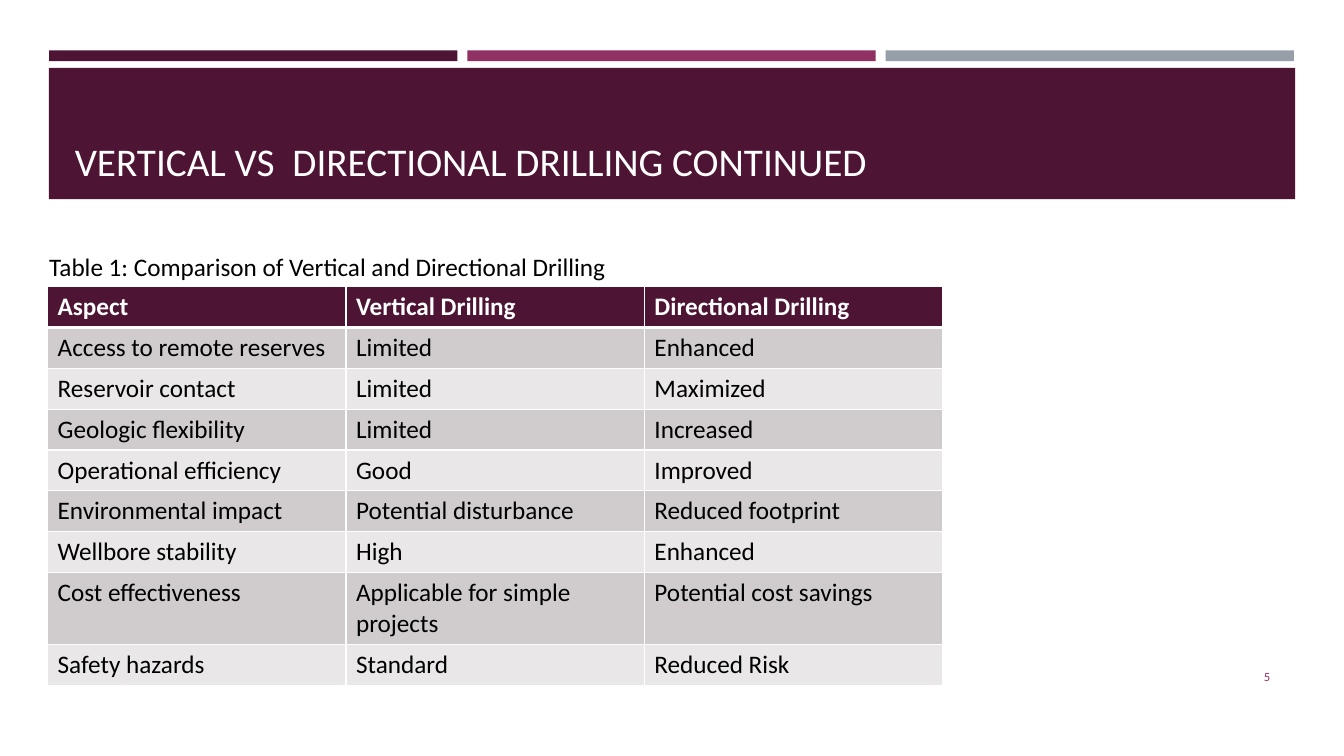
from lxml import etree
from pptx import Presentation
from pptx.dml.color import RGBColor
from pptx.enum.shapes import MSO_SHAPE
from pptx.enum.text import MSO_ANCHOR, MSO_AUTO_SIZE, PP_ALIGN
from pptx.oxml.ns import qn
from pptx.util import Cm, Pt

RECT = MSO_SHAPE.RECTANGLE
BOTTOM, MIDDLE = MSO_ANCHOR.BOTTOM, MSO_ANCHOR.MIDDLE
LEFT, RIGHT = PP_ALIGN.LEFT, PP_ALIGN.RIGHT
NO_FIT = MSO_AUTO_SIZE.NONE

THEME = {
    "font": "Calibri",
    "plum": "4D1434", "magenta": "903163", "gray": "969FA7",
    "white": "FFFFFF", "black": "000000",
    "bands": ("D0CCCE", "E9E7E8"),
    "title": 28, "body": 18, "number": 9,
}


def write(tf, text, size, color, bold=False, align=LEFT):
    p = tf.paragraphs[0]
    p.alignment = align
    r = p.add_run()
    r.text = text
    r.font.name = THEME["font"]
    r.font.size = Pt(THEME[size])
    r.font.bold = bold
    r.font.color.rgb = RGBColor.from_string(THEME[color])


def add_border(cell, side, width):
    ln = etree.SubElement(cell._tc.get_or_add_tcPr(), qn(f"a:{side}"), w=str(Pt(width)))
    fill = etree.SubElement(ln, qn("a:solidFill"))
    etree.SubElement(fill, qn("a:srgbClr"), val=THEME["white"])


prs = Presentation()
prs.slide_width, prs.slide_height = Cm(33.87), Cm(19.05)
s = prs.slides.add_slide(prs.slide_layouts[5])

blocks = [(1.24 + 10.54 * i, 1.27, 10.29, 0.27, color)
          for i, color in enumerate(("plum", "magenta", "gray"))]
blocks.append((1.23, 1.71, 31.41, 3.31, "plum"))
for left, top, width, height, color in blocks:
    sp = s.shapes.add_shape(RECT, Cm(left), Cm(top), Cm(width), Cm(height))
    sp.shadow.inherit = False
    sp.fill.solid()
    sp.fill.fore_color.rgb = RGBColor.from_string(THEME[color])
    sp.line.fill.background()

title = s.shapes.title
title.left, title.top, title.width, title.height = Cm(1.63), Cm(1.96), Cm(30.63), Cm(2.82)
s.shapes._spTree.append(title._element)
tf = title.text_frame
tf.auto_size = NO_FIT
tf.word_wrap = True
tf.vertical_anchor = BOTTOM
write(tf, "VERTICAL VS  DIRECTIONAL DRILLING CONTINUED", "title", "white")

rows = [
    ("Aspect", "Vertical Drilling", "Directional Drilling"),
    ("Access to remote reserves", "Limited", "Enhanced"),
    ("Reservoir contact", "Limited", "Maximized"),
    ("Geologic flexibility", "Limited", "Increased"),
    ("Operational efficiency", "Good", "Improved"),
    ("Environmental impact", "Potential disturbance", "Reduced footprint"),
    ("Wellbore stability", "High", "Enhanced"),
    ("Cost effectiveness", "Applicable for simple projects", "Potential cost savings"),
    ("Safety hazards", "Standard", "Reduced Risk"),
]
table = s.shapes.add_table(len(rows), 3, Cm(1.2), Cm(7.22), Cm(22.56), Cm(9.27)).table
for i, row in enumerate(rows):
    table.rows[i].height = Cm(1.03)
    header = i == 0
    fill = THEME["plum"] if header else THEME["bands"][(i - 1) % 2]
    for j, text in enumerate(row):
        cell = table.cell(i, j)
        write(cell.text_frame, text, "body", "white" if header else "black", header)
        add_border(cell, "lnL", 1)
        add_border(cell, "lnR", 1)
        add_border(cell, "lnT", 3 if i == 1 else 1)
        add_border(cell, "lnB", 3 if header else 1)
        cell.fill.solid()
        cell.fill.fore_color.rgb = RGBColor.from_string(fill)

caption = s.shapes.add_textbox(Cm(0.99), Cm(6.2), Cm(16.61), Cm(1.02))
caption.text_frame.word_wrap = True
write(caption.text_frame, "Table 1: Comparison of Vertical and Directional Drilling", "body", "black")

number = s.shapes.add_textbox(Cm(29.34), Cm(16.54), Cm(2.92), Cm(1.02))
number.text_frame.word_wrap = True
number.text_frame.vertical_anchor = MIDDLE
write(number.text_frame, "5", "number", "magenta", align=RIGHT)

prs.save("out.pptx")
